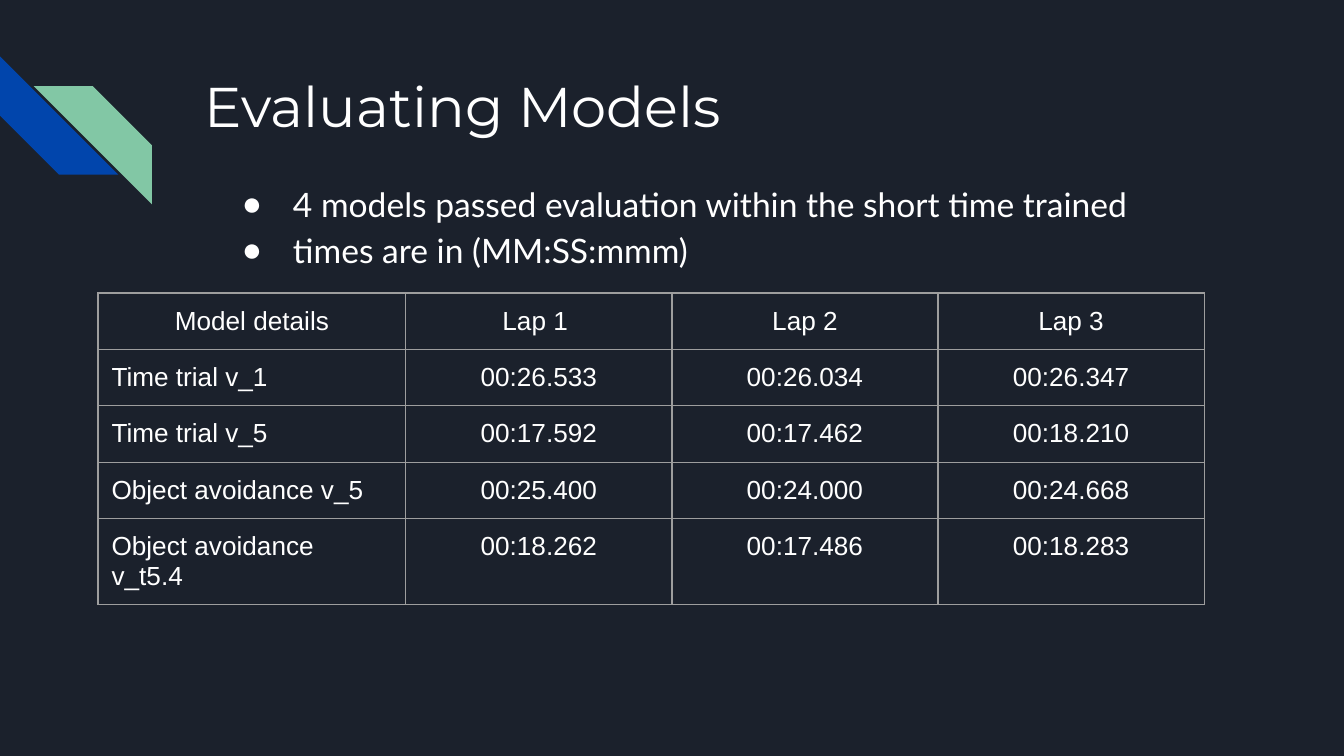
import pptx
import pptx.util
import pptx.dml.color
import pptx.enum.shapes
import pptx.enum.text
import pptx.oxml
import pptx.oxml.ns
from lxml import etree

Inches = pptx.util.Inches
Pt = pptx.util.Pt
PP_ALIGN = pptx.enum.text.PP_ALIGN
WHITE = "FFFFFF"


def color(hex_string):
    return pptx.dml.color.RGBColor.from_string(hex_string)


def add_run(paragraph, text, font_name, size):
    run = paragraph.add_run()
    run.text = text
    run.font.name = font_name
    run.font.size = Pt(size)
    run.font.color.rgb = color(WHITE)


# Widescreen 16:9 slide
presentation = pptx.Presentation()
presentation.slide_width = Inches(10)
presentation.slide_height = Inches(10 * 9 / 16)
slide = presentation.slides.add_slide(presentation.slide_layouts[1])
slide.background.fill.solid()
slide.background.fill.fore_color.rgb = color("1B212C")

# Corner stripes: the blue one is turned, the green one mirrored
for left, top, fill, rotation, mirrored in [
    (0, 0.42, "0145AC", 270, False),
    (0.25, 0.64, "82C7A5", 0, True),
]:
    stripe = slide.shapes.add_shape(
        pptx.enum.shapes.MSO_SHAPE.DIAGONAL_STRIPE,
        Inches(left), Inches(top), Inches(0.88), Inches(0.88))
    stripe.shadow.inherit = False
    stripe.fill.solid()
    stripe.fill.fore_color.rgb = color(fill)
    stripe.line.fill.background()
    stripe.rotation = rotation
    if mirrored:
        stripe._element.spPr.find(pptx.oxml.ns.qn("a:xfrm")).set("flipH", "1")

# Title and body placeholders
title = slide.shapes.title
body = slide.placeholders[1]
for shape, left, top, width, height in [
    (title, 1.42, 0.43, 7.7, 1),
    (body, 1.58, 1.22, 7.4, 0.85),
]:
    shape.left, shape.top = Inches(left), Inches(top)
    shape.width, shape.height = Inches(width), Inches(height)
    frame = shape.text_frame
    frame.margin_left = frame.margin_right = Inches(0.1)
    frame.margin_top = frame.margin_bottom = Inches(0.1)
    frame.vertical_anchor = pptx.enum.text.MSO_ANCHOR.TOP
    frame.auto_size = pptx.enum.text.MSO_AUTO_SIZE.NONE
    frame.word_wrap = True

title_paragraph = title.text_frame.paragraphs[0]
title_paragraph.alignment = PP_ALIGN.LEFT
add_run(title_paragraph, "Evaluating Models", "Montserrat", 30)

# Bulleted list
bullets = [
    "4 models passed evaluation within the short time trained",
    "times are in (MM:SS:mmm)",
]
for index, text in enumerate(bullets):
    frame = body.text_frame
    paragraph = frame.add_paragraph() if index else frame.paragraphs[0]
    paragraph.line_spacing = 1.15
    paragraph.space_before = paragraph.space_after = Pt(0)
    properties = paragraph._p.get_or_add_pPr()
    properties.set("marL", str(Inches(0.5)))
    properties.set("indent", str(Inches(-0.38)))
    bullet_color = etree.SubElement(properties, pptx.oxml.ns.qn("a:buClr"))
    etree.SubElement(bullet_color, pptx.oxml.ns.qn("a:srgbClr"), val=WHITE)
    etree.SubElement(properties, pptx.oxml.ns.qn("a:buChar"), char="●")
    add_run(paragraph, text, "Lato", 18)

# Lap time table; rows grow to fit their text
rows = [
    ["Model details", "Lap 1 ", "Lap 2", "Lap 3"],
    ["Time trial v_1", "00:26.533", "00:26.034", "00:26.347"],
    ["Time trial v_5", "00:17.592", "00:17.462", "00:18.210"],
    ["Object avoidance v_5", "00:25.400", "00:24.000", "00:24.668"],
    ["Object avoidance v_t5.4", "00:18.262", "00:17.486", "00:18.283"],
]
column_widths = [2.29, 1.98, 1.98, 1.98]
row_height = 0.42
table = slide.shapes.add_table(
    len(rows), len(column_widths), Inches(0.73), Inches(2.18),
    Inches(sum(column_widths)), Inches(row_height * len(rows))).table
table.first_row = False
table.horz_banding = False
for column, width in zip(table.columns, column_widths):
    column.width = Inches(width)

for row_index, row in enumerate(rows):
    table.rows[row_index].height = Inches(row_height)
    for column_index, text in enumerate(row):
        cell = table.cell(row_index, column_index)
        cell.margin_left = cell.margin_right = Inches(0.1)
        cell.margin_top = cell.margin_bottom = Inches(0.1)
        paragraph = cell.text_frame.paragraphs[0]
        is_model_name = row_index > 0 and column_index == 0
        paragraph.alignment = PP_ALIGN.LEFT if is_model_name else PP_ALIGN.CENTER
        add_run(paragraph, text, "Arial", 14)

        # Borders come before the fill in the cell properties
        properties = cell._tc.get_or_add_tcPr()
        for side in ["a:lnL", "a:lnR", "a:lnT", "a:lnB"]:
            border = etree.SubElement(
                properties, pptx.oxml.ns.qn(side), w=str(Pt(0.75)))
            border_fill = etree.SubElement(border, pptx.oxml.ns.qn("a:solidFill"))
            etree.SubElement(
                border_fill, pptx.oxml.ns.qn("a:srgbClr"), val="9E9E9E")
        cell.fill.background()

presentation.save("out.pptx")
